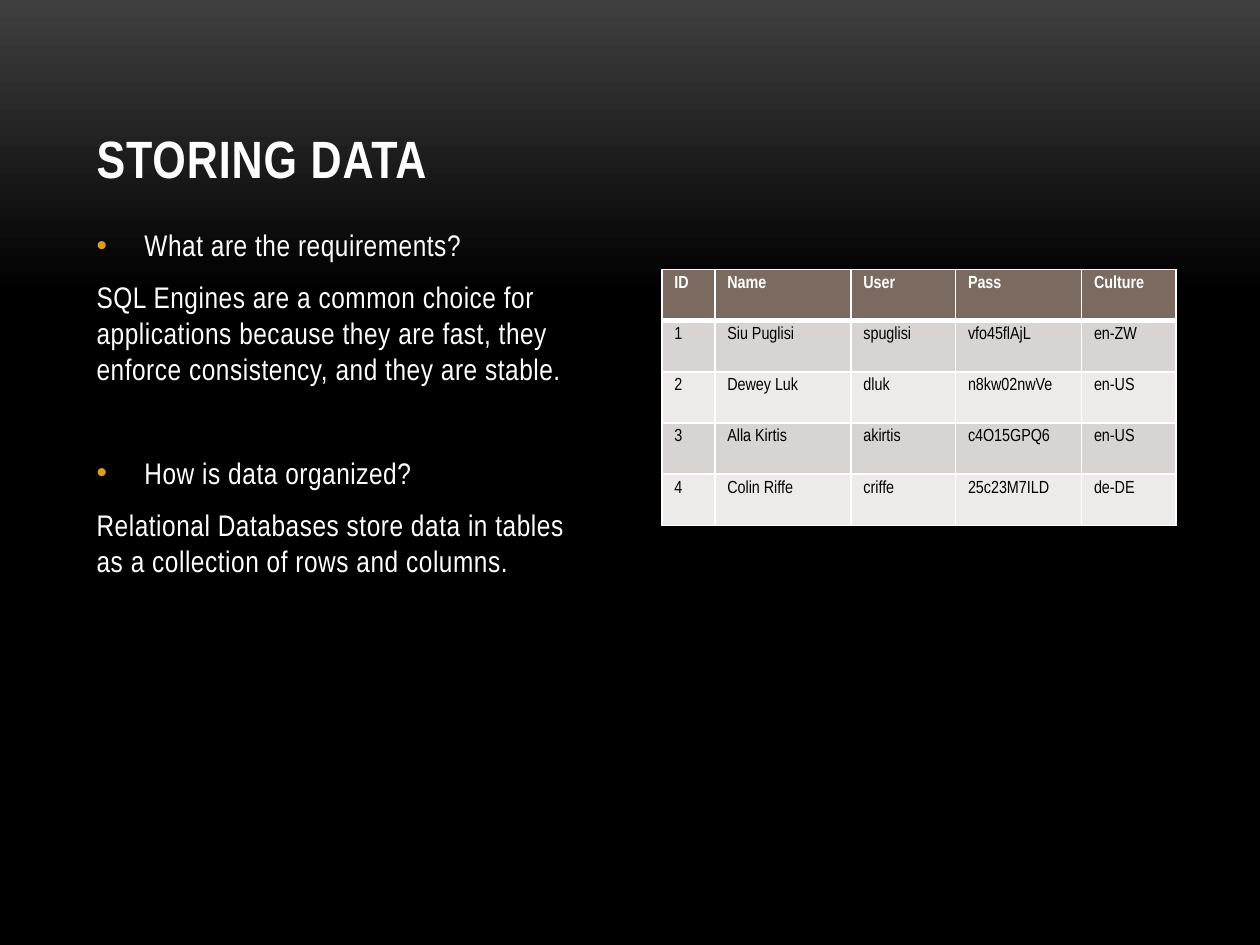
from dataclasses import dataclass

from lxml import etree
from pptx import Presentation
from pptx import util as u
from pptx.dml.color import RGBColor
from pptx.enum import text
from pptx.oxml.ns import qn

TITLE = "STORING DATA"
TOPICS = [
    ("What are the requirements?",
     "SQL Engines are a common choice for applications because they are fast, "
     "they enforce consistency, and they are stable."),
    ("How is data organized?",
     "Relational Databases store data in tables as a collection of rows and columns."),
]
USERS = [
    ("ID", "Name", "User", "Pass", "Culture"),
    ("1", "Siu Puglisi", "spuglisi", "vfo45flAjL", "en-ZW"),
    ("2", "Dewey Luk", "dluk", "n8kw02nwVe", "en-US"),
    ("3", "Alla Kirtis", "akirtis", "c4O15GPQ6", "en-US"),
    ("4", "Colin Riffe", "criffe", "25c23M7ILD", "de-DE"),
]
COLUMN_WIDTHS = (0.42, 1.08, 0.83, 1, 0.75)
TABLE_HEIGHT = 2.03
WIDTH, HEIGHT = 10, 7.5
MARGIN = WIDTH / 15
COLUMN = sum(COLUMN_WIDTHS)


@dataclass(frozen=True)
class Theme:
    font: str = "Arial Narrow"
    light: str = "FFFFFF"
    dark: str = "000000"
    glow: str = "3F3F3F"
    bullet: str = "DC9E1F"
    header: str = "7A6A60"
    bands: tuple = ("D7D4D2", "ECEBEA")
    title_size: float = 30
    body_size: float = 17
    table_size: float = 10


THEME = Theme()


def style(para, size, color, bold=False, tracking=0):
    for span in para.runs:
        span.font.name = THEME.font
        span.font.size = u.Pt(size)
        span.font.bold = bold
        span.font.color.rgb = RGBColor.from_string(color)
        if tracking:
            span.font._element.set("spc", str(round(tracking * 100)))


def place(shape, left, top, width, height):
    shape.left, shape.top = u.Inches(left), u.Inches(top)
    shape.width, shape.height = u.Inches(width), u.Inches(height)


def set_bullet(para, shown):
    props = para._p.get_or_add_pPr()
    hang = u.Inches(0.38) if shown else 0
    props.set("marL", str(hang))
    props.set("indent", str(-hang))
    if shown:
        color = etree.SubElement(props, qn("a:buClr"))
        etree.SubElement(color, qn("a:srgbClr"), val=THEME.bullet)
        etree.SubElement(props, qn("a:buFont"), typeface="Arial")
        etree.SubElement(props, qn("a:buChar"), char="•")
    else:
        etree.SubElement(props, qn("a:buNone"))


def set_borders(cell, bottom):
    props = cell._tc.get_or_add_tcPr()
    widths = {"a:lnL": 1, "a:lnR": 1, "a:lnT": 1, "a:lnB": bottom}
    for index, (side, width) in enumerate(widths.items()):
        line = etree.Element(qn(side), w=str(u.Pt(width)))
        fill = etree.SubElement(line, qn("a:solidFill"))
        etree.SubElement(fill, qn("a:srgbClr"), val=THEME.light)
        props.insert(index, line)


def paint_background(page):
    fill = page.background.fill
    fill.gradient()
    fill.gradient_angle = 270
    stops = ((0, THEME.glow), (0.31, THEME.dark))
    for stop, (position, color) in zip(fill.gradient_stops, stops):
        stop.position = position
        stop.color.rgb = RGBColor.from_string(color)


def add_title(page):
    title = page.shapes.title
    place(title, MARGIN, 0.3, WIDTH - 2 * MARGIN, 1.25)
    frame = title.text_frame
    frame.text = TITLE
    frame.vertical_anchor = text.MSO_ANCHOR.BOTTOM
    frame.auto_size = text.MSO_AUTO_SIZE.NONE
    frame.paragraphs[0].alignment = text.PP_ALIGN.LEFT
    style(frame.paragraphs[0], THEME.title_size, THEME.light, True, 0.5)


def add_topics(page):
    body = page.placeholders[1]
    place(body, MARGIN, 1.75, COLUMN, 4.5)
    frame = body.text_frame
    frame.text = "\n".join(line for topic in TOPICS for line in topic)
    frame.auto_size = text.MSO_AUTO_SIZE.NONE
    for index, para in enumerate(frame.paragraphs):
        is_question = index % 2 == 0
        starts_later_topic = is_question and index > 0
        para.space_before = u.Pt(33 if starts_later_topic else 3.4)
        para.space_after = u.Pt(6)
        set_bullet(para, is_question)
        style(para, THEME.body_size, THEME.light, tracking=0.3)


def add_users(page):
    table = page.shapes.add_table(
        len(USERS), len(COLUMN_WIDTHS),
        u.Inches(WIDTH - MARGIN - COLUMN), u.Inches(2.14),
        u.Inches(COLUMN), u.Inches(TABLE_HEIGHT)).table
    for column, width in zip(table.columns, COLUMN_WIDTHS):
        column.width = u.Inches(width)
    for r, record in enumerate(USERS):
        is_header = r == 0
        fill = THEME.header if is_header else THEME.bands[(r - 1) % 2]
        color = THEME.light if is_header else THEME.dark
        for c, value in enumerate(record):
            cell = table.cell(r, c)
            cell.text = value
            cell.fill.solid()
            cell.fill.fore_color.rgb = RGBColor.from_string(fill)
            set_borders(cell, bottom=3 if is_header else 1)
            style(cell.text_frame.paragraphs[0], THEME.table_size, color, is_header)


def main():
    deck = Presentation()
    deck.slide_width, deck.slide_height = u.Inches(WIDTH), u.Inches(HEIGHT)
    page = deck.slides.add_slide(deck.slide_layouts[1])
    paint_background(page)
    add_title(page)
    add_topics(page)
    add_users(page)
    deck.save("out.pptx")


if __name__ == "__main__":
    main()
